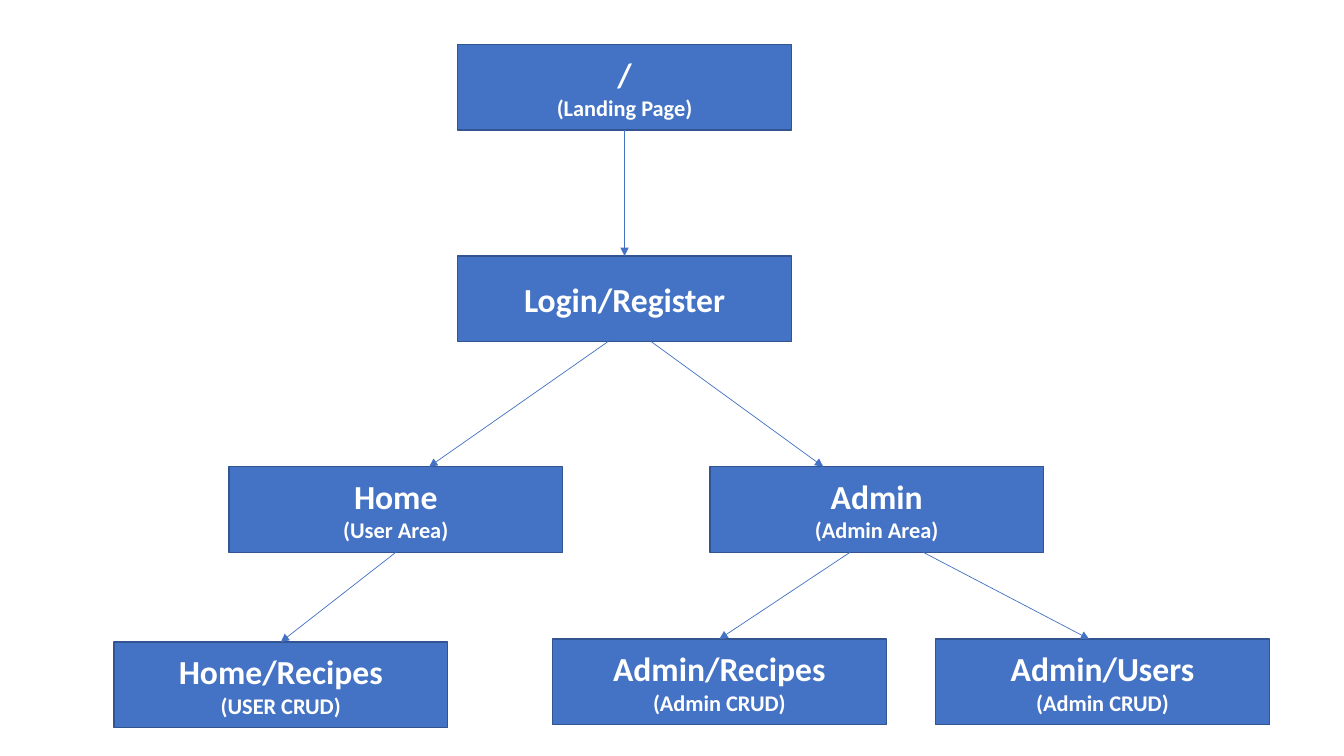
from lxml import etree
from pptx import Presentation
from pptx.dml.color import RGBColor
from pptx.enum.shapes import MSO_CONNECTOR, MSO_SHAPE
from pptx.enum.text import MSO_ANCHOR, PP_ALIGN
from pptx.oxml.ns import qn
from pptx.util import Inches, Pt

BLUE, BORDER, WHITE = "4472C4", "325491", "FFFFFF"
BOX_W, BOX_H = 3.31, 0.85
ROW_TOPS = [0.44, 2.54, 4.63, 6.34]


def paint(color_format, color):
    """Give a fill, line or font colour format a hex colour."""
    color_format.rgb = RGBColor.from_string(color)


def add_run(paragraph, text, size):
    """Add a bold white Calibri run to a paragraph."""
    run = paragraph.add_run()
    run.text = text
    run.font.name, run.font.size, run.font.bold = "Calibri", Pt(size), True
    paint(run.font.color, WHITE)


prs = Presentation()
prs.slide_width, prs.slide_height = Inches(13.33), Inches(7.5)
slide = prs.slides.add_slide(prs.slide_layouts[6])

# Each page of the site: left edge, top edge, route, description
pages = {
    "landing": (4.54, ROW_TOPS[0], "/", "(Landing Page)"),
    "login": (4.54, ROW_TOPS[1], "Login/Register", ""),
    "home": (2.27, ROW_TOPS[2], "Home", "(User Area)"),
    "admin": (7.04, ROW_TOPS[2], "Admin", "(Admin Area)"),
    "home_recipes": (1.13, ROW_TOPS[3] + 0.03, "Home/Recipes", "(USER CRUD)"),
    "admin_recipes": (5.48, ROW_TOPS[3], "Admin/Recipes", "(Admin CRUD)"),
    "admin_users": (9.28, ROW_TOPS[3], "Admin/Users", "(Admin CRUD)"),
}
for left, top, route, description in pages.values():
    box = slide.shapes.add_shape(MSO_SHAPE.RECTANGLE, Inches(left), Inches(top),
                                 Inches(BOX_W), Inches(BOX_H))
    box.shadow.inherit = False
    box.fill.solid()
    paint(box.fill.fore_color, BLUE)
    paint(box.line.color, BORDER)
    box.line.width = Pt(1)
    box.text_frame.vertical_anchor = MSO_ANCHOR.MIDDLE
    paragraph = box.text_frame.paragraphs[0]
    paragraph.alignment = PP_ALIGN.CENTER
    add_run(paragraph, route, 24)
    if description:
        paragraph.add_line_break()
        add_run(paragraph, description, 16)

# Parent page, share of its bottom edge, child page, share of its top edge
links = [
    ("landing", 0.5, "login", 0.5),
    ("login", 0.45, "home", 0.6),
    ("login", 0.58, "admin", 0.34),
    ("home", 0.5, "home_recipes", 0.5),
    ("admin", 0.42, "admin_recipes", 0.5),
    ("admin", 0.64, "admin_users", 0.46),
]
for parent, start_share, child, end_share in links:
    parent_left, parent_top = pages[parent][:2]
    child_left, child_top = pages[child][:2]
    arrow = slide.shapes.add_connector(
        MSO_CONNECTOR.STRAIGHT,
        Inches(parent_left + start_share * BOX_W), Inches(parent_top + BOX_H),
        Inches(child_left + end_share * BOX_W), Inches(child_top))
    paint(arrow.line.color, BLUE)
    arrow.line.width = Pt(0.5)
    etree.SubElement(arrow.line._get_or_add_ln(), qn("a:tailEnd"), type="triangle")
    etree.SubElement(arrow._element.spPr, qn("a:effectLst"))

prs.save("out.pptx")
